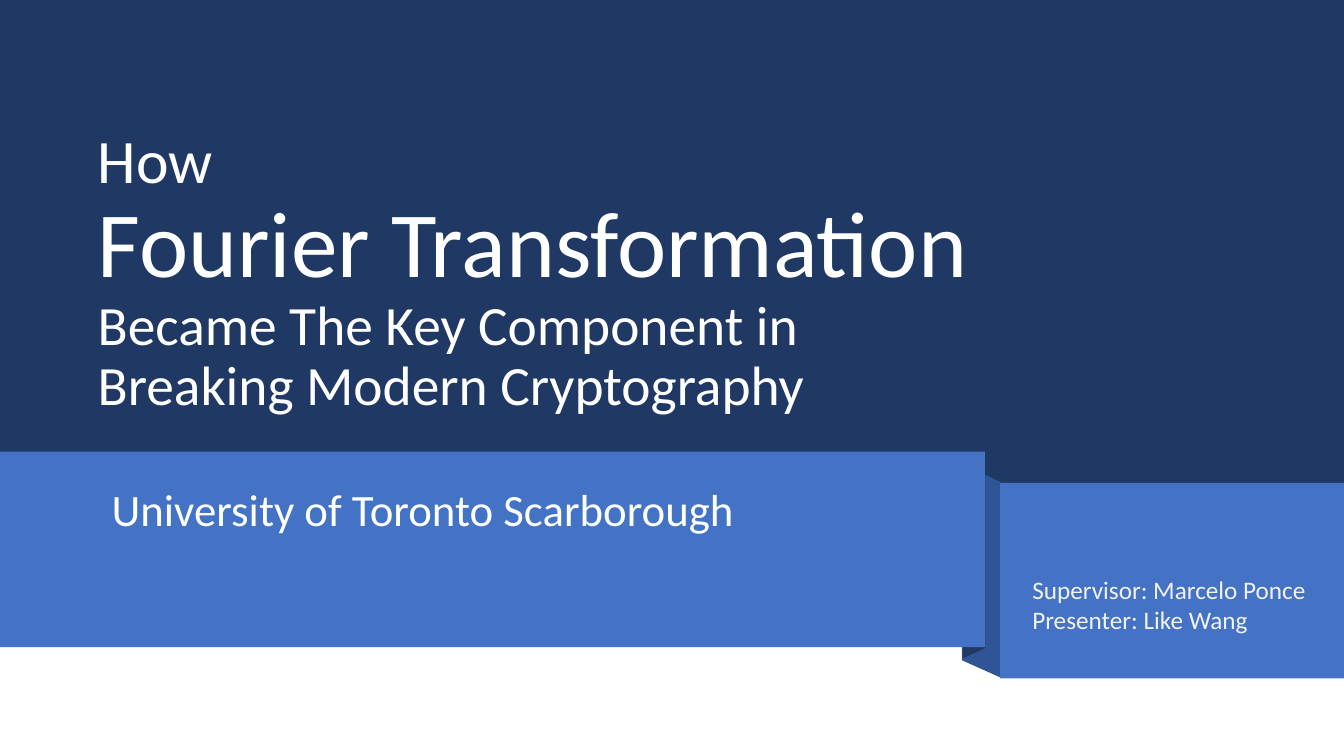
"""Build the title slide of a talk on Fourier transformation and cryptography."""
from pptx import Presentation
from pptx.dml.color import RGBColor
from pptx.enum.shapes import MSO_SHAPE
from pptx.enum.text import MSO_ANCHOR
from pptx.util import Pt

PX = 9144
NAVY, DEEP, BLUE = "203864", "2F5597", "4472C4"

deck = Presentation()
deck.slide_width, deck.slide_height = 1333 * PX, 750 * PX
slide = deck.slides.add_slide(deck.slide_layouts[6])
shapes = slide.shapes


def paint(shape, color):
    shape.shadow.inherit = False
    shape.fill.solid()
    shape.fill.fore_color.rgb = RGBColor.from_string(color)
    shape.line.fill.background()


def write(lines, box, color="FFFFFF", anchor=MSO_ANCHOR.TOP, spacing=1.0, before=0):
    frame = shapes.add_textbox(*[n * PX for n in box]).text_frame
    frame.word_wrap = True
    frame.vertical_anchor = anchor
    para = frame.paragraphs[0]
    para.line_spacing = spacing
    para.space_before = Pt(before)
    for i, (text, size) in enumerate(lines):
        if i:
            para.add_line_break()
        run = para.add_run()
        run.text = text
        run.font.name = "Calibri"
        run.font.size = Pt(size)
        run.font.color.rgb = RGBColor.from_string(color)


panels = [
    ((0, 0, 1333, 498), NAVY),
    ((0, 448, 977, 194), BLUE),
    ((992, 479, 341, 194), BLUE),
]
folds = [
    ([(992, 672), (954, 655), (954, 460), (992, 478)], DEEP),
    ([(977, 643), (955, 653), (955, 458), (977, 448)], NAVY),
]

top, *bands = panels
for group in ([top], folds, bands):
    for form, color in group:
        if group is folds:
            pen = shapes.build_freeform(*form[0], scale=PX)
            pen.add_line_segments(form[1:], close=True)
            shape = pen.convert_to_shape()
        else:
            shape = shapes.add_shape(MSO_SHAPE.RECTANGLE, *[n * PX for n in form])
        paint(shape, color)

write(
    [
        ("How", 44.1),
        ("Fourier Transformation", 66.6),
        ("Became The Key Component in Breaking Modern Cryptography", 39.6),
    ],
    (87, 70, 905, 349),
    anchor=MSO_ANCHOR.BOTTOM,
    spacing=0.9,
)
write(
    [("University of Toronto Scarborough", 32)],
    (101, 479, 846, 140),
    color="FEFFFF",
    spacing=0.9,
    before=10,
)
write(
    [("Supervisor: Marcelo Ponce", 18), ("Presenter: Like Wang", 18)],
    (1014, 565, 307, 71),
    color="F2F2F2",
)

deck.save("out.pptx")
